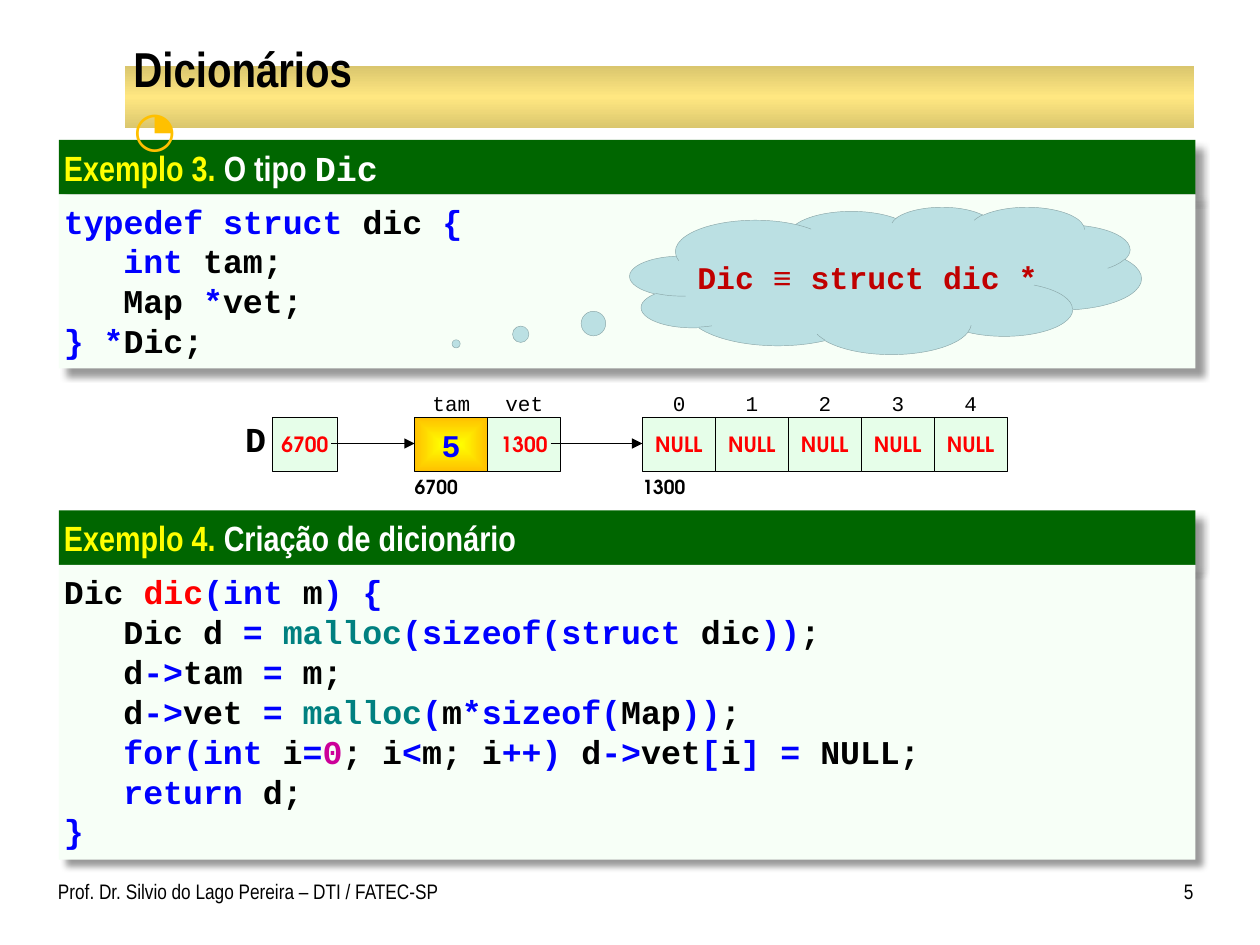
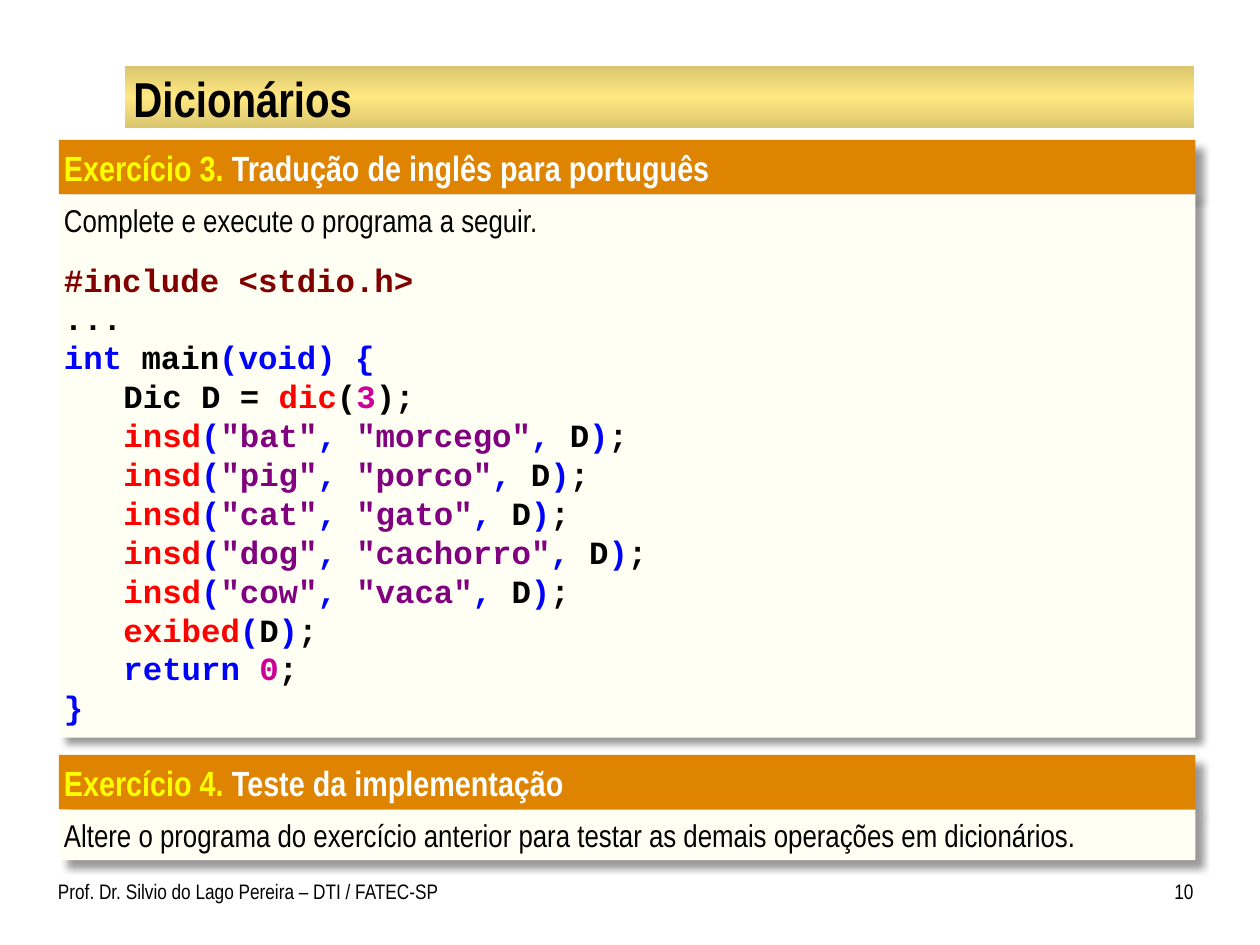
"""Build two lecture slides about dictionaries in C."""
from pptx import Presentation
from pptx.dml.color import RGBColor
from pptx.enum.shapes import MSO_CONNECTOR as CONN, MSO_SHAPE as SHAPE
from pptx.enum.text import MSO_ANCHOR as ANCHOR, MSO_AUTO_SIZE as AUTO, PP_ALIGN as ALIGN
from pptx.oxml import parse_xml
from pptx.oxml.ns import nsdecls, qn
from pptx.util import Cm, Pt

colours = {
    "black": "000000", "white": "FFFFFF", "yellow": "FFFF00", "amber": "FFC000",
    "blue": "0000FF", "red": "FF0000", "teal": "008080", "pink": "CC0099",
    "purple": "800080", "maroon": "800000", "crimson": "C00000",
    "green": "006600", "mint": "F7FFF7", "orange": "DE8400", "cream": "FFFFF3",
    "cell": "E6FEE9", "cloud": "BBE0E3", "cloud edge": "8AA6A8",
    "gold": "DAC66E", "light gold": "FFE781",
}
gradients = {
    "band": ([(0, "gold"), (50, "light gold"), (100, "gold")], '<a:lin ang="5400000" scaled="0"/>'),
    "glow": ([(0, "yellow"), (100, "amber")],
             '<a:path path="shape"><a:fillToRect l="50000" t="50000" r="50000" b="50000"/></a:path>'),
}
narrow, mono, round_font = "Arial Narrow", "Courier New", "TeX Gyre Adventor"
styles = {
    "title": {"name": narrow, "size": Pt(28), "bold": True},
    "heading": {"name": narrow, "size": Pt(20), "bold": True},
    "body": {"name": narrow, "size": Pt(18), "bold": False},
    "footer": {"name": narrow, "size": Pt(12), "bold": False},
    "code": {"name": mono, "size": Pt(19), "bold": True},
    "program": {"name": mono, "size": Pt(18.5), "bold": True},
    "variable": {"name": mono, "size": Pt(20), "bold": True},
    "number": {"name": mono, "size": Pt(18), "bold": True},
    "label": {"name": mono, "size": Pt(12), "bold": False},
    "pointer": {"name": round_font, "size": Pt(12), "bold": True},
    "address": {"name": round_font, "size": Pt(11), "bold": True},
}
shadow_xml = (
    f'<a:outerShdw {nsdecls("a")} blurRad="50800" dist="76200" dir="2700000" algn="tl" '
    'rotWithShape="0"><a:srgbClr val="000000"><a:alpha val="40000"/></a:srgbClr></a:outerShdw>'
)


def write(tf, lines, style, align=ALIGN.LEFT, insets=(0, 0, 0, 0), anchor=ANCHOR.TOP, wrap=True):
    """Fill a frame from lines of colour:text runs, where '>' indents a line."""
    frame = {"auto_size": AUTO.NONE, "word_wrap": wrap, "vertical_anchor": anchor}
    sides = ("margin_left", "margin_top", "margin_right", "margin_bottom")
    frame.update(zip(sides, map(Cm, insets)))
    for name, value in frame.items():
        setattr(tf, name, value)
    for i, line in enumerate(lines):
        p = tf.add_paragraph() if i else tf.paragraphs[0]
        p.alignment = align
        if line.startswith(">"):
            p._p.get_or_add_pPr().set("marL", str(Cm(1.2)))
        for part in line.lstrip(">").split("|"):
            tag, _, text = part.partition(":")
            colour, _, own_style = tag.partition("/")
            r = p.add_run()
            r.text = text
            for name, value in styles[own_style or style].items():
                setattr(r.font, name, value)
            r.font.color.rgb = RGBColor.from_string(colours[colour])


def box(s, at, fill=None, line=None, kind=SHAPE.RECTANGLE):
    """Add a flat shape at left, top, width and height in centimetres."""
    sp = s.shapes.add_shape(kind, *map(Cm, at)) if fill else s.shapes.add_textbox(*map(Cm, at))
    if fill in gradients:
        stops, direction = gradients[fill]
        stops = "".join(f'<a:gs pos="{pos * 1000}"><a:srgbClr val="{colours[c]}"/></a:gs>'
                        for pos, c in stops)
        sp.element.spPr.find(qn("a:prstGeom")).addnext(parse_xml(
            f'<a:gradFill {nsdecls("a")} rotWithShape="1"><a:gsLst>{stops}</a:gsLst>{direction}</a:gradFill>'))
    elif fill:
        sp.fill.solid()
        sp.fill.fore_color.rgb = RGBColor.from_string(colours[fill])
    if line:
        sp.line.color.rgb = RGBColor.from_string(colours[line])
        sp.line.width = Pt(0.25)
    else:
        sp.line.fill.background()
    sp.shadow.inherit = False
    return sp


struct_code = [
    "blue:typedef struct |black:dic |blue:{",
    ">blue:int |black:tam;",
    ">black:Map |blue:*|black:vet;",
    "blue:} *|black:Dic;",
]
create_code = [
    "black:Dic |red:dic|blue:(int|black: m|blue:) {",
    ">black:Dic d |blue:= |teal:malloc|blue:(sizeof(struct |black:dic|blue:))|black:;",
    ">black:d|blue:->|black:tam |blue:=|black: m;",
    ">black:d|blue:->|black:vet |blue:= |teal:malloc|blue:(|black:m|blue:*sizeof("
    "|black:Map|blue:))|black:;",
    ">blue:for(int|black: i|blue:=|pink:0|black:; i|blue:<|black:m; i|blue:++)|black: d"
    "|blue:->|black:vet|blue:[|black:i|blue:] =|black: NULL;",
    ">blue:return|black: d;",
    "blue:}",
]
words = {"bat": "morcego", "pig": "porco", "cat": "gato", "dog": "cachorro", "cow": "vaca"}
main_code = [
    "black/body:Complete e execute o programa a seguir.",
    "maroon:#include <stdio.h>",
    "black:...",
    "blue:int|black: main|blue:(void) {",
    ">black:Dic D = |red:dic|black:(|pink:3|black:);",
    *[f'>red:insd|blue:(|purple:"{en}"|blue:, |purple:"{pt}"|blue:,|black: D|blue:)|black:;'
      for en, pt in words.items()],
    ">red:exibed|blue:(|black:D|blue:)|black:;",
    ">blue:return |pink:0|black:;",
    "blue:}",
]
test_text = ["black:Altere o programa do exercício anterior para testar as demais operações em dicionários."]

pages = [
    (5, "green", "mint", [
        (2.82, 3.51, "yellow:Exemplo 3.|white: O tipo |white/variable:Dic", "code", struct_code),
        (10.29, 5.94, "yellow:Exemplo 4.|white: Criação de dicionário", "code", create_code)]),
    (10, "orange", "cream", [
        (2.82, 10.95, "yellow:Exercício 3.|white: Tradução de inglês para português",
         "program", main_code),
        (15.22, 1.02, "yellow:Exercício 4.|white: Teste da implementação", "body", test_text)]),
]

prs = Presentation()
prs.slide_width, prs.slide_height = Cm(25.4), Cm(19.05)
left, width, head_height = 1.19, 22.91, 1.1

for number, head_fill, body_fill, panels in pages:
    s = prs.slides.add_slide(prs.slide_layouts[5])
    box(s, (2.52, 1.33, 21.56, 1.26), "band")
    for top, height, heading, style, lines in panels:
        head = box(s, (left, top, width, head_height), head_fill)
        body = box(s, (left, top + head_height, width, height), body_fill)
        for sp in (head, body):
            sp.element.spPr.find(qn("a:effectLst")).append(parse_xml(shadow_xml))
        write(head.text_frame, [heading], "heading", insets=(0.1, 0.13, 0.25, 0.13))
        write(body.text_frame, lines, style, insets=(0.1, 0.13, 0.1, 0.13))
        if lines is main_code:
            body.text_frame.paragraphs[1].space_before = Pt(12)

    title = s.shapes.title
    for name, value in zip(("left", "top", "width", "height"), (2.54, 1.37, 21.51, 1.19)):
        setattr(title, name, Cm(value))
    title_lines = ["black:Dicionários"] + (["amber:◔"] if number == 5 else [])
    write(title.text_frame, title_lines, "title", insets=(0.15, 0.03, 0.15, 0.03), anchor=ANCHOR.MIDDLE)
    body.element.addnext(title.element)

    credit = box(s, (1.17, 17.58, 8.5, 1.07))
    write(credit.text_frame, ["black:Prof. Dr. Silvio do Lago Pereira – DTI / FATEC-SP"],
          "footer", insets=(0, 0.13, 0, 0.13))
    page = box(s, (23.06, 17.58, 1, 1.07))
    write(page.text_frame, [f"black:{number}"], "footer", ALIGN.RIGHT, (0.25, 0.13, 0, 0.13))

s = prs.slides[0]
cloud = box(s, (12.7, 4.17, 10.31, 2.97), "cloud", "cloud edge", SHAPE.CLOUD_CALLOUT)
cloud.adjustments[0], cloud.adjustments[1] = -0.84, 0.43
write(cloud.text_frame, ["crimson:Dic ≡ struct dic *"], "number", ALIGN.CENTER,
      (0, 0.1, 0, 0.1), ANCHOR.MIDDLE, False)

row, cell_w, cell_h = 8.41, 1.47, 1.1
struct_x, array_x = 8.36, 12.95
variable = box(s, (4.94, row, 0.43, 0.86), "white")
write(variable.text_frame, ["black:D"], "variable", ALIGN.CENTER, wrap=False)
box(s, (5.49, row, 1.3, cell_h), "cell", "black")

cells = [(struct_x, "tam", "glow", "blue:5", "number"), (struct_x + cell_w, "vet", "cell", "", "")]
cells += [(array_x + i * cell_w, str(i), "cell", "red:NULL", "pointer") for i in range(5)]
for x, label, fill, value, style in cells:
    sp = box(s, (x, row, cell_w, cell_h), fill, "black")
    if value:
        write(sp.text_frame, [value], style, ALIGN.CENTER, (0, 0.08, 0, 0.08), ANCHOR.MIDDLE)
    caption = box(s, (x + 0.04, 7.87, 1.4, 0.66))
    write(caption.text_frame, [f"black:{label}"], "label", ALIGN.CENTER)

for pointer_x, target_x, address in ((5.66, struct_x, "6700"), (10.08, array_x, "1300")):
    pointer = box(s, (pointer_x, 8.69, 1.02, 0.51), "cell")
    write(pointer.text_frame, [f"red:{address}"], "pointer", ALIGN.CENTER, (0, 0, 0.05, 0), wrap=False)
    target = box(s, (target_x, 9.53, 1.5, 0.66), "white")
    write(target.text_frame, [f"black:{address}"], "address", insets=(0, 0.05, 0, 0.08))
    arrow = s.shapes.add_connector(
        CONN.STRAIGHT, *map(Cm, (pointer_x + 1.02, 8.94, target_x, 8.94)))
    arrow.line.color.rgb = RGBColor.from_string(colours["black"])
    arrow.line.width = Pt(0.25)
    arrow.line._get_or_add_ln().append(parse_xml(f'<a:tailEnd {nsdecls("a")} type="triangle"/>'))
    arrow.element.spPr.append(parse_xml(f'<a:effectLst {nsdecls("a")}/>'))

prs.save("out.pptx")
